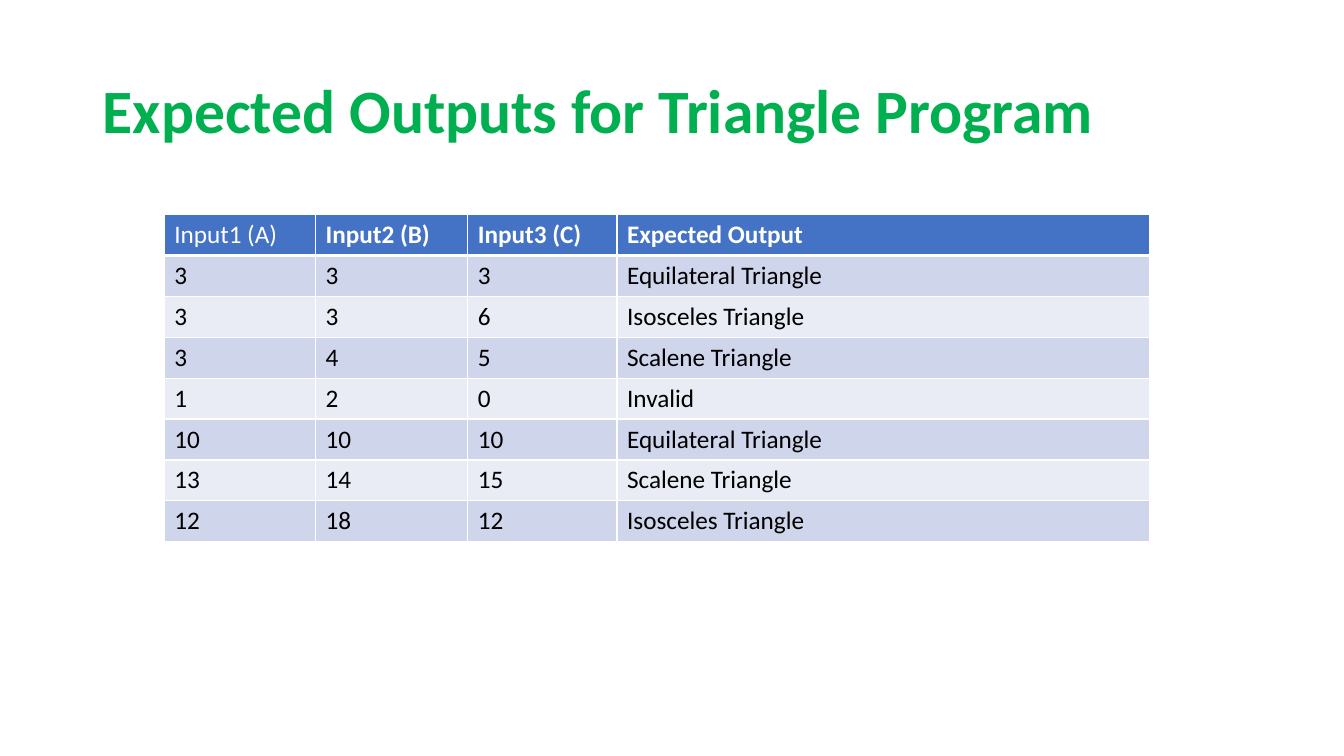
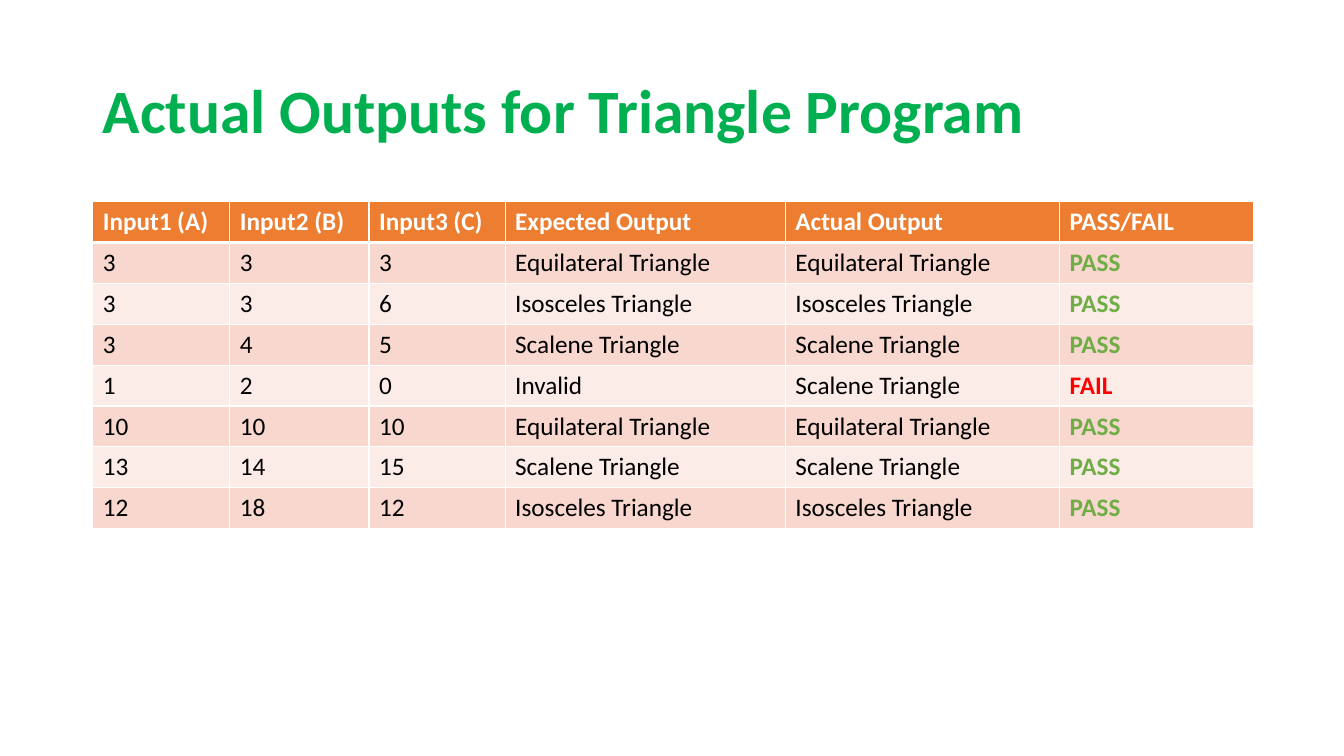
from lxml import etree
from pptx import Presentation
from pptx.dml.color import RGBColor
from pptx.enum.text import MSO_ANCHOR, PP_ALIGN
from pptx.oxml.ns import qn
from pptx.util import Inches, Pt

LEFT, MIDDLE = PP_ALIGN.LEFT, MSO_ANCHOR.MIDDLE
TITLE_ONLY = 5
FONT = "Calibri"
ROW_HEIGHT = 0.405
COLORS = {
    "title": "00B050", "white": "FFFFFF", "text": "000000",
    "PASS": "70AD47", "FAIL": "FF0000",
}
BLUE = {"header": "4472C4", "bands": ("CFD5EA", "E9EBF5")}
ORANGE = {"header": "ED7D31", "bands": ("F8D7CE", "FCECE8")}

EQUILATERAL, ISOSCELES, SCALENE = (
    f"{kind} Triangle" for kind in ("Equilateral", "Isosceles", "Scalene"))
EXPECTED_HEADER = ("Input1 (A)", "Input2 (B)", "Input3 (C)", "Expected Output")
EXPECTED_ROWS = [
    ("3", "3", "3", EQUILATERAL),
    ("3", "3", "6", ISOSCELES),
    ("3", "4", "5", SCALENE),
    ("1", "2", "0", "Invalid"),
    ("10", "10", "10", EQUILATERAL),
    ("13", "14", "15", SCALENE),
    ("12", "18", "12", ISOSCELES),
]
ACTUAL_OUTPUTS = [EQUILATERAL, ISOSCELES, SCALENE, SCALENE,
                  EQUILATERAL, SCALENE, ISOSCELES]


def set_font(p, size, color, bold):
    p.font.name = FONT
    p.font.size = Pt(size)
    p.font.bold = bold
    p.font.color.rgb = RGBColor.from_string(color)


def set_borders(cell, top, bottom):
    """Draw white cell borders; top and bottom are widths in points."""
    tcPr = cell._tc.get_or_add_tcPr()
    for side, width in (("L", 1), ("R", 1), ("T", top), ("B", bottom)):
        ln = etree.SubElement(tcPr, qn(f"a:ln{side}"), w=str(Pt(width)))
        fill = etree.SubElement(ln, qn("a:solidFill"))
        etree.SubElement(fill, qn("a:srgbClr"), val=COLORS["white"])


def fill_cell(cell, text, fill, color, bold, top=1, bottom=1):
    set_borders(cell, top, bottom)
    cell.fill.solid()
    cell.fill.fore_color.rgb = RGBColor.from_string(fill)
    cell.text = text
    set_font(cell.text_frame.paragraphs[0], 18, color, bold)


def add_title(slide, text, left, top, width, height):
    title = slide.shapes.title
    title.left, title.top = Inches(left), Inches(top)
    title.width, title.height = Inches(width), Inches(height)
    tf = title.text_frame
    tf.text = text
    tf.vertical_anchor = MIDDLE
    p = tf.paragraphs[0]
    p.alignment = LEFT
    p.line_spacing = 0.9
    set_font(p, 44, COLORS["title"], True)


def add_results_table(slide, left, top, widths, header, rows, theme, plain_headers=()):
    """Place a banded table; plain_headers lists header texts that are not bold."""
    table = slide.shapes.add_table(
        len(rows) + 1, len(widths), Inches(left), Inches(top),
        Inches(sum(widths)), Inches(ROW_HEIGHT * (len(rows) + 1))).table
    table.horz_banding = False
    for column, width in zip(table.columns, widths):
        column.width = Inches(width)
    for c, text in enumerate(header):
        fill_cell(table.cell(0, c), text, theme["header"], COLORS["white"],
                  text not in plain_headers, bottom=3)
    for r, row in enumerate(rows, 1):
        for c, text in enumerate(row):
            fill_cell(table.cell(r, c), text, theme["bands"][(r - 1) % 2],
                      COLORS.get(text, COLORS["text"]), text in COLORS,
                      top=3 if r == 1 else 1)


def add_table_slide(prs, title, **table):
    slide = prs.slides.add_slide(prs.slide_layouts[TITLE_ONLY])
    add_title(slide, title, 0.92, 0.4, 11.5, 1.45)
    add_results_table(slide, **table)


def main():
    prs = Presentation()
    prs.slide_width, prs.slide_height = Inches(13.33), Inches(7.5)
    add_table_slide(
        prs, "Expected Outputs for Triangle Program",
        left=1.63, top=2.13, widths=(1.5, 1.51, 1.48, 5.28),
        header=EXPECTED_HEADER, rows=EXPECTED_ROWS, theme=BLUE,
        plain_headers=EXPECTED_HEADER[:1])
    checked_rows = [
        (*row, actual, "PASS" if actual == row[-1] else "FAIL")
        for row, actual in zip(EXPECTED_ROWS, ACTUAL_OUTPUTS)]
    add_table_slide(
        prs, "Actual Outputs for Triangle Program",
        left=0.92, top=2, widths=(1.36, 1.38, 1.35, 2.78, 2.72, 1.92),
        header=(*EXPECTED_HEADER, "Actual Output", "PASS/FAIL"),
        rows=checked_rows, theme=ORANGE)
    prs.save("out.pptx")


if __name__ == "__main__":
    main()
